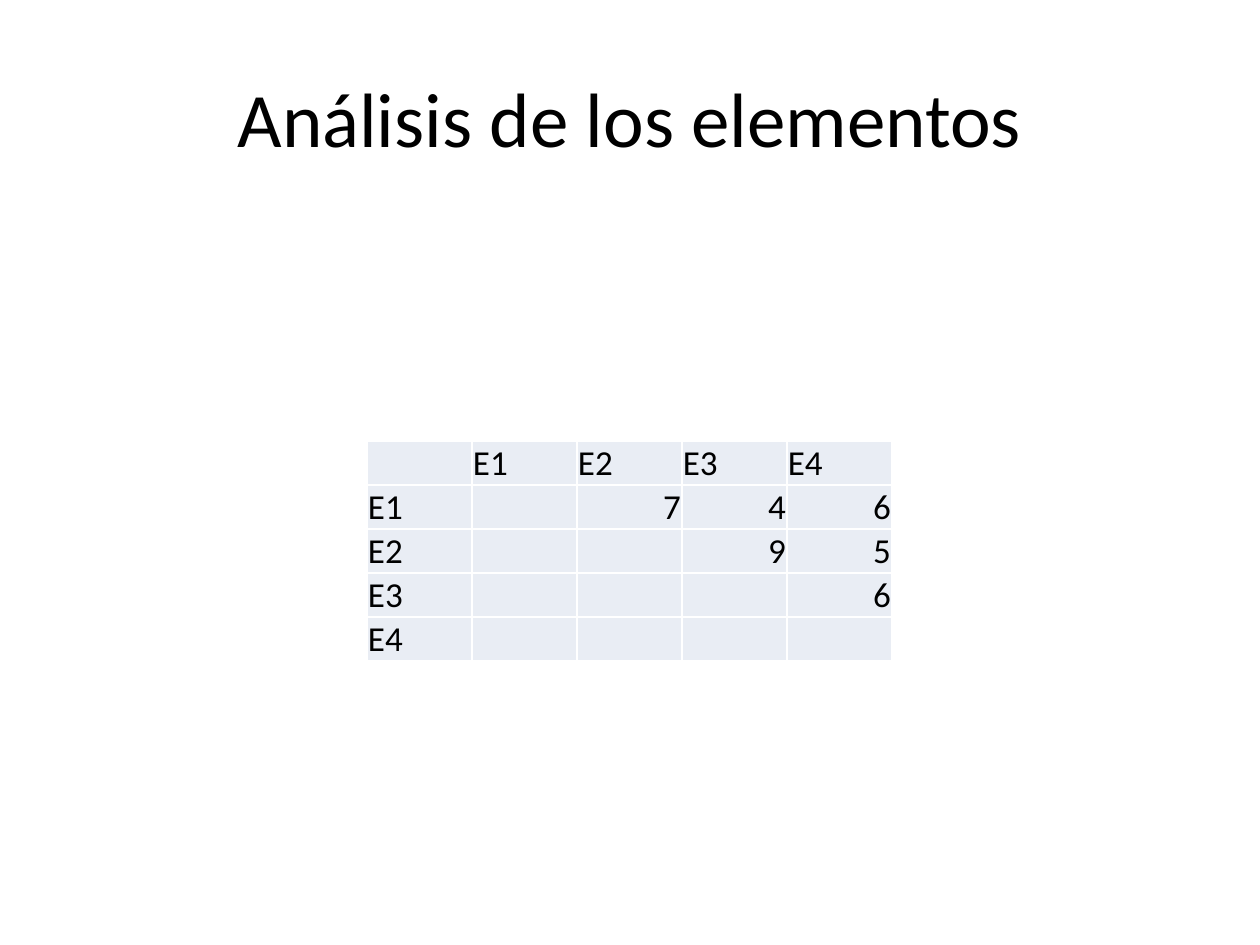
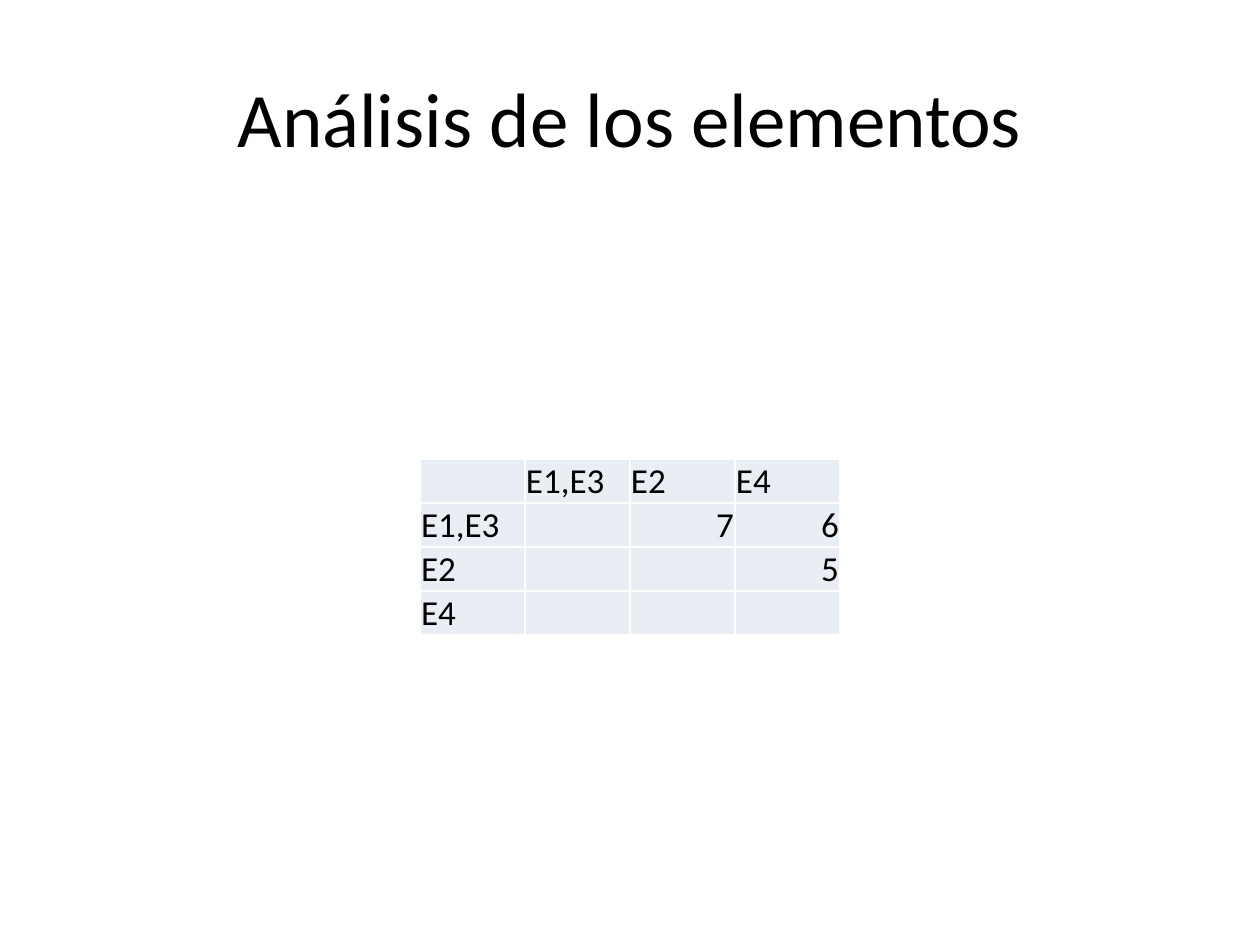
import dataclasses

import pptx
import pptx.dml.color
import pptx.enum.text
import pptx.oxml
import pptx.oxml.ns
import pptx.util

# Shared look
EMU_PER_PX = 914400 // 126
SLIDE_WIDTH, SLIDE_HEIGHT = 1260, 945
FONT = "Calibri"
INK, CELL_FILL, GRID_LINE = "000000", "E9EDF4", "FFFFFF"
HEADING = "Análisis de los elementos"
CELL_WIDTH, CELL_HEIGHT = 105, 44
TITLE_ONLY = 5
ALIGN = pptx.enum.text.PP_ALIGN
ANCHOR = pptx.enum.text.MSO_ANCHOR


@dataclasses.dataclass(frozen=True)
class Matrix:
    """Upper-triangular comparison of elements, one value per pair."""
    top: int
    elements: list[str]
    values: dict[tuple[str, str], int]


MATRICES = [
    Matrix(441, ["E1", "E2", "E3", "E4"],
           {("E1", "E2"): 7, ("E1", "E3"): 4, ("E1", "E4"): 6,
            ("E2", "E3"): 9, ("E2", "E4"): 5, ("E3", "E4"): 6}),
    Matrix(459, ["E1,E3", "E2", "E4"],
           {("E1,E3", "E2"): 7, ("E1,E3", "E4"): 6, ("E2", "E4"): 5}),
]


def px(length: int) -> pptx.util.Emu:
    return pptx.util.Emu(length * EMU_PER_PX)


def color(hex_value: str) -> pptx.dml.color.RGBColor:
    return pptx.dml.color.RGBColor.from_string(hex_value)


def write(frame, text: str, *, size: int, align=ALIGN.LEFT, ink: str = INK) -> None:
    paragraph = frame.paragraphs[0]
    paragraph.alignment = align
    run = paragraph.add_run()
    run.text = text
    run.font.name = FONT
    run.font.size = pptx.util.Pt(size)
    run.font.color.rgb = color(ink)


def add_heading(slide) -> None:
    title = slide.shapes.title
    title.left, title.top, title.width, title.height = map(px, (63, 38, 1134, 157))
    title.text_frame.vertical_anchor = ANCHOR.MIDDLE
    write(title.text_frame, HEADING, size=44, align=ALIGN.CENTER)


def style_cell(cell) -> None:
    cell.margin_left = cell.margin_right = cell.margin_top = px(1)
    cell.margin_bottom = 0
    cell.vertical_anchor = ANCHOR.BOTTOM
    # Borders come before the fill in the cell properties
    properties = cell._tc.get_or_add_tcPr()
    for side in ("lnL", "lnR", "lnT", "lnB"):
        properties.append(pptx.oxml.parse_xml(
            f'<a:{side} {pptx.oxml.ns.nsdecls("a")} w="12700"><a:solidFill>'
            f'<a:srgbClr val="{GRID_LINE}"/></a:solidFill></a:{side}>'))
    cell.fill.solid()
    cell.fill.fore_color.rgb = color(CELL_FILL)


def add_matrix(slide, matrix: Matrix) -> None:
    count = len(matrix.elements) + 1
    width = count * CELL_WIDTH
    table = slide.shapes.add_table(
        count, count, px((SLIDE_WIDTH - width) // 2), px(matrix.top),
        px(width), px(count * CELL_HEIGHT)).table
    table.first_row = table.horz_banding = False
    for cell in table.iter_cells():
        style_cell(cell)
    # Element names head both rows and columns
    for i, row_element in enumerate(matrix.elements, start=1):
        for header in (table.cell(0, i), table.cell(i, 0)):
            write(header.text_frame, row_element, size=20)
        for j, column_element in enumerate(matrix.elements, start=1):
            value = matrix.values.get((row_element, column_element))
            if value is not None:
                write(table.cell(i, j).text_frame, str(value), size=20, align=ALIGN.RIGHT)


# Slides
deck = pptx.Presentation()
deck.slide_width, deck.slide_height = px(SLIDE_WIDTH), px(SLIDE_HEIGHT)
for comparison in MATRICES:
    page = deck.slides.add_slide(deck.slide_layouts[TITLE_ONLY])
    add_heading(page)
    add_matrix(page, comparison)
deck.save("out.pptx")
